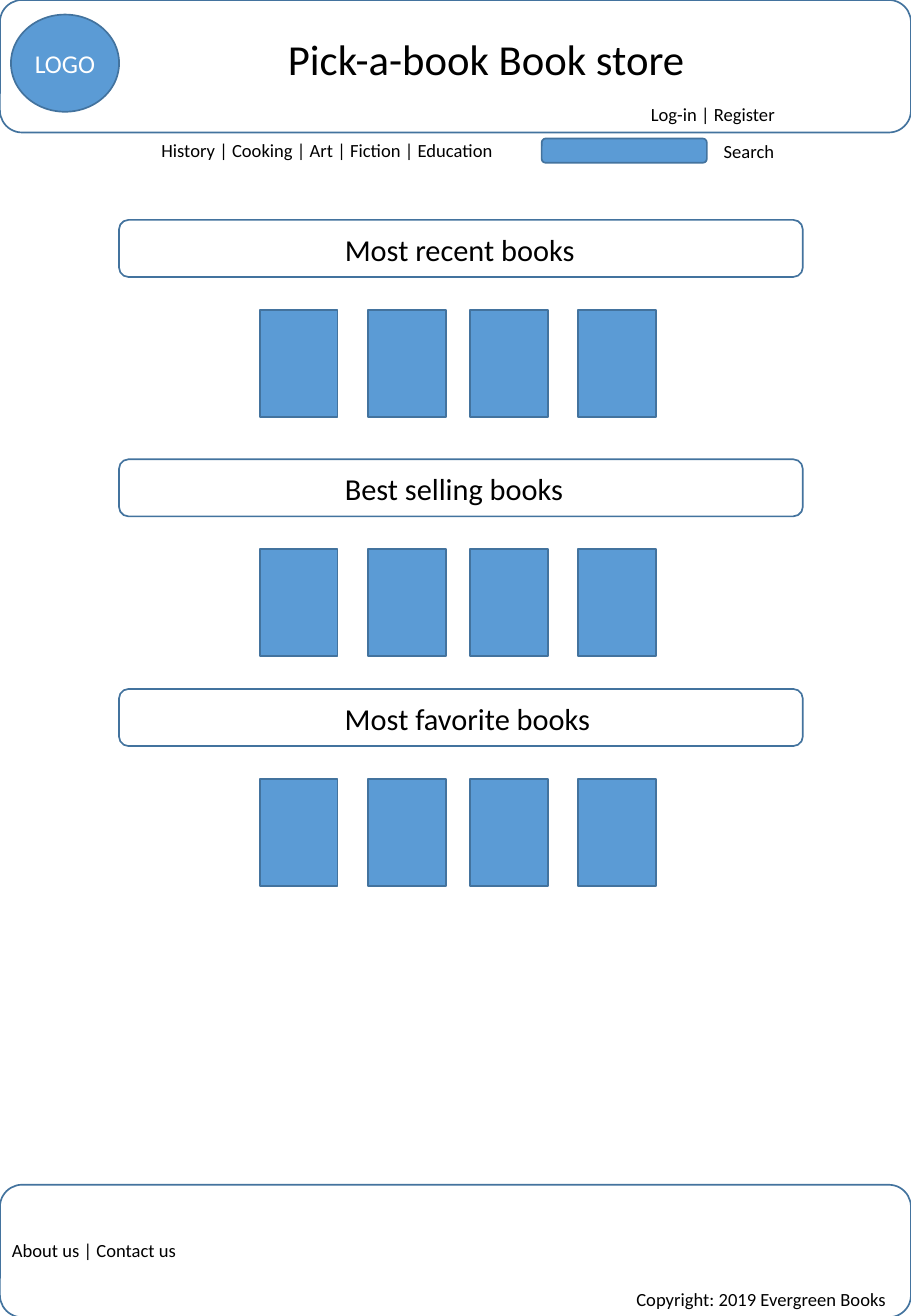
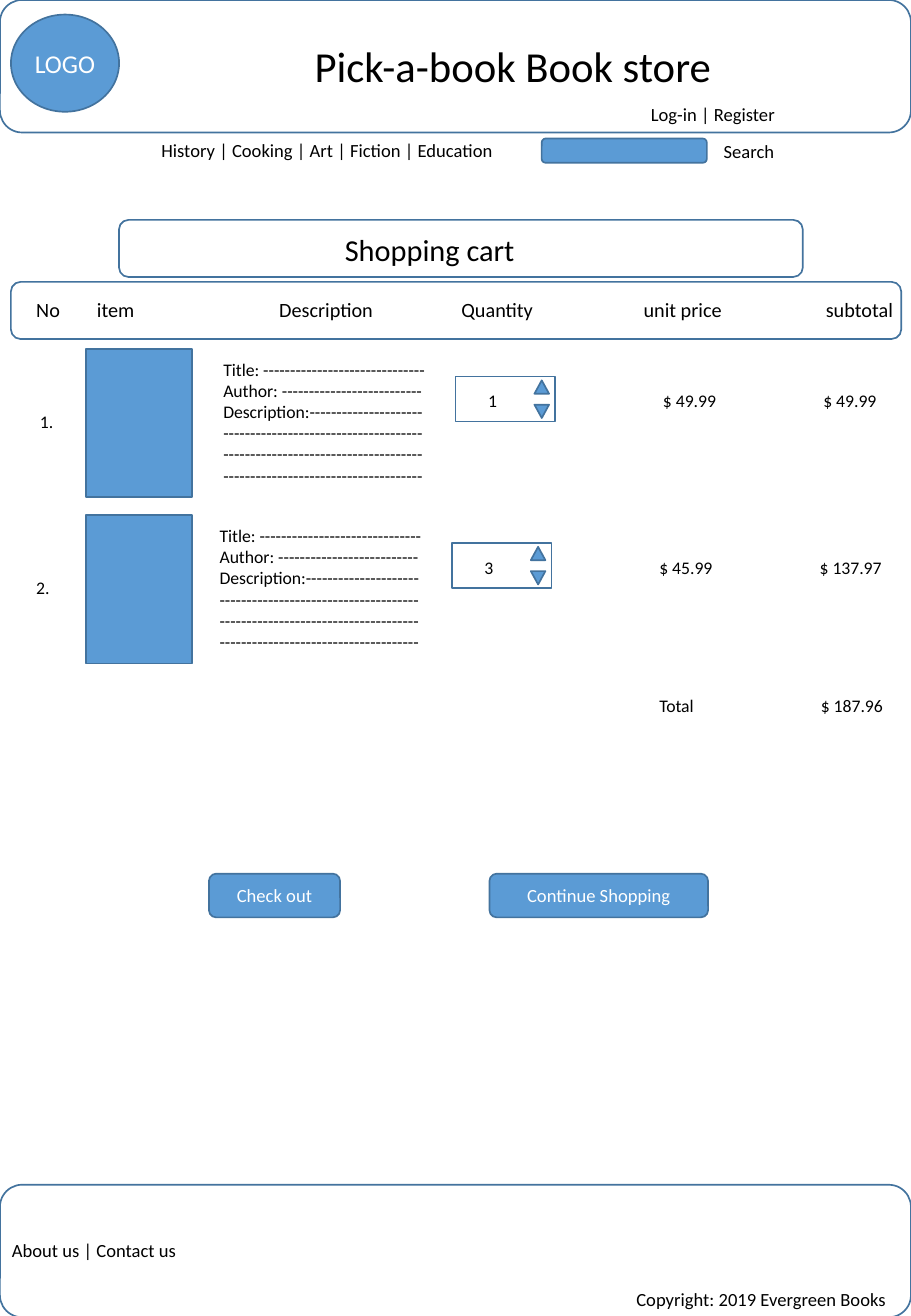
import pptx
import pptx.util
from pptx.dml.color import RGBColor
from pptx.enum.shapes import MSO_SHAPE
from pptx.enum.text import MSO_ANCHOR, MSO_AUTO_SIZE, PP_ALIGN
from pptx.oxml.ns import qn
from lxml import etree

PX = 9144  # 100 px to the inch
BLUE = RGBColor(0x5B, 0x9B, 0xD5)
EDGE = RGBColor(0x43, 0x73, 0x9E)
BLACK = RGBColor(0, 0, 0)
WHITE = RGBColor(0xFF, 0xFF, 0xFF)
FONT = "Calibri"

BOOK_LEFTS = (214, 303, 387, 476)
SHELVES = (("Most recent books", 211, 181),
           ("Best selling books", 202, 378),
           ("Most favorite books", 224, 567))
CART_HEADINGS = ("No", "item", "Description", "Quantity", "unit price", "subtotal")
CART_TABS = (50, 200, 350, 500, 650)
BOOK_DETAILS = ["Title: " + "-" * 30, "Author: " + "-" * 26,
                "Description:" + "-" * 21] + ["-" * 37] * 3


def px(*lengths):
    return [pptx.util.Emu(n * PX) for n in lengths]


def style_text(tf, size, color):
    for p in tf.paragraphs:
        for r in p.runs:
            r.font.name = FONT
            r.font.size = pptx.util.Pt(size)
            r.font.color.rgb = color


def shape(s, kind, x, y, w, h, fill=BLUE, text="", size=11):
    sp = s.shapes.add_shape(kind, *px(x, y, w, h))
    sp.shadow.inherit = False
    if fill is None:
        sp.fill.background()
    else:
        sp.fill.solid()
        sp.fill.fore_color.rgb = fill
    sp.line.color.rgb = EDGE
    sp.line.width = pptx.util.Pt(1)
    if text:
        tf = sp.text_frame
        tf.text = text
        tf.margin_left, tf.margin_right, tf.margin_top, tf.margin_bottom = px(4, 4, 2, 2)
        tf.vertical_anchor = MSO_ANCHOR.MIDDLE
        tf.paragraphs[0].alignment = PP_ALIGN.CENTER
        style_text(tf, size, WHITE)
    return sp


def label(s, text, x, y, w, h=29, size=11):
    box = s.shapes.add_textbox(*px(x, y, w, h))
    tf = box.text_frame
    tf.word_wrap = False
    tf.auto_size = MSO_AUTO_SIZE.SHAPE_TO_FIT_TEXT
    tf.text = text
    style_text(tf, size, BLACK)
    return box


def cart_label(s, text, x, y, w, h=28):
    return label(s, text, x, y, w, h, 10.5)


def set_tabs(p, stops):
    tabs = etree.SubElement(p._p.get_or_add_pPr(), qn("a:tabLst"))
    for stop in stops:
        etree.SubElement(tabs, qn("a:tab"), pos=str(stop * PX), algn="l")


def store_page(prs, title_x, title_y):
    """Add a slide with the shop's header, navigation and footer."""
    s = prs.slides.add_slide(prs.slide_layouts[5])
    title = s.shapes.title
    title.left, title.top, title.width, title.height = px(title_x, title_y, 351, 53)
    tf = title.text_frame
    tf.text = "Pick-a-book Book store"
    tf.word_wrap = False
    tf.auto_size = MSO_AUTO_SIZE.NONE
    tf.vertical_anchor = MSO_ANCHOR.TOP
    tf.paragraphs[0].alignment = PP_ALIGN.LEFT
    style_text(tf, 25.3, BLACK)

    for y in (0, 975):
        shape(s, MSO_SHAPE.ROUNDED_RECTANGLE, 0, y, 750, 109, None)
    shape(s, MSO_SHAPE.OVAL, 9, 12, 89, 80, text="LOGO", size=15.2)
    label(s, "Log-in | Register", 526, 80, 123)
    label(s, "History | Cooking | Art | Fiction | Education", 123, 109, 308)
    shape(s, MSO_SHAPE.ROUNDED_RECTANGLE, 446, 114, 136, 20)
    label(s, "Search", 586, 110, 63)
    label(s, "About us | Contact us", 0, 1015, 156)
    label(s, "Copyright: 2019 Evergreen Books", 514, 1055, 228)
    return s


def banner(s, text, text_w, y):
    shape(s, MSO_SHAPE.ROUNDED_RECTANGLE, 98, y, 563, 47, None)
    label(s, text, 274, y + 4, text_w, 40, 18)


def shelf(s, text, text_w, y):
    banner(s, text, text_w, y)
    for x in BOOK_LEFTS:
        shape(s, MSO_SHAPE.RECTANGLE, x, y + 74, 64, 88)


def quantity_box(s, quantity, x, y):
    shape(s, MSO_SHAPE.RECTANGLE, x, y, 82, 37, None)
    shape(s, MSO_SHAPE.ISOSCELES_TRIANGLE, x + 65, y + 3, 12, 11)
    down = shape(s, MSO_SHAPE.ISOSCELES_TRIANGLE, x + 65, y + 23, 12, 11)
    down.rotation = 180
    cart_label(s, quantity, x + 17, y + 6, 28)


def cart_row(s, number, quantity, price, subtotal, subtotal_w, x, y):
    """Draw one cart item; x is the left of its number, y the top of its book."""
    shape(s, MSO_SHAPE.RECTANGLE, 71, y, 87, 122)
    cart_label(s, number, x, y + 46, 32)
    cart_label(s, "\n".join(BOOK_DETAILS), x + 151, y + 3, 190, 116)
    quantity_box(s, quantity, x + 352, y + 23)
    cart_label(s, price, x + 513, y + 29, 65)
    cart_label(s, subtotal, x + 645, y + 29, subtotal_w)


def home_page(prs):
    s = store_page(prs, 227, 22)
    for text, text_w, y in SHELVES:
        shelf(s, text, text_w, y)


def cart_page(prs):
    s = store_page(prs, 249, 28)
    banner(s, "Shopping cart", 162, 181)
    shape(s, MSO_SHAPE.ROUNDED_RECTANGLE, 9, 232, 733, 47, None)
    headings = label(s, "\t".join(CART_HEADINGS), 20, 240, 732, 30, 12)
    set_tabs(headings.text_frame.paragraphs[0], CART_TABS)

    cart_row(s, "1.", "1", "$ 49.99", "$ 49.99", 65, 23, 287)
    cart_row(s, "2.", "3", "$ 45.99", "$ 137.97", 72, 20, 424)
    cart_label(s, "Total", 533, 567, 50)
    cart_label(s, "$ 187.96", 666, 567, 72)
    for text, x, w in (("Check out", 172, 108), ("Continue Shopping", 403, 180)):
        shape(s, MSO_SHAPE.ROUNDED_RECTANGLE, x, 719, w, 36, text=text)


def main():
    prs = pptx.Presentation()
    prs.slide_width, prs.slide_height = px(750, 1083)
    home_page(prs)
    cart_page(prs)
    prs.save("out.pptx")


if __name__ == "__main__":
    main()
